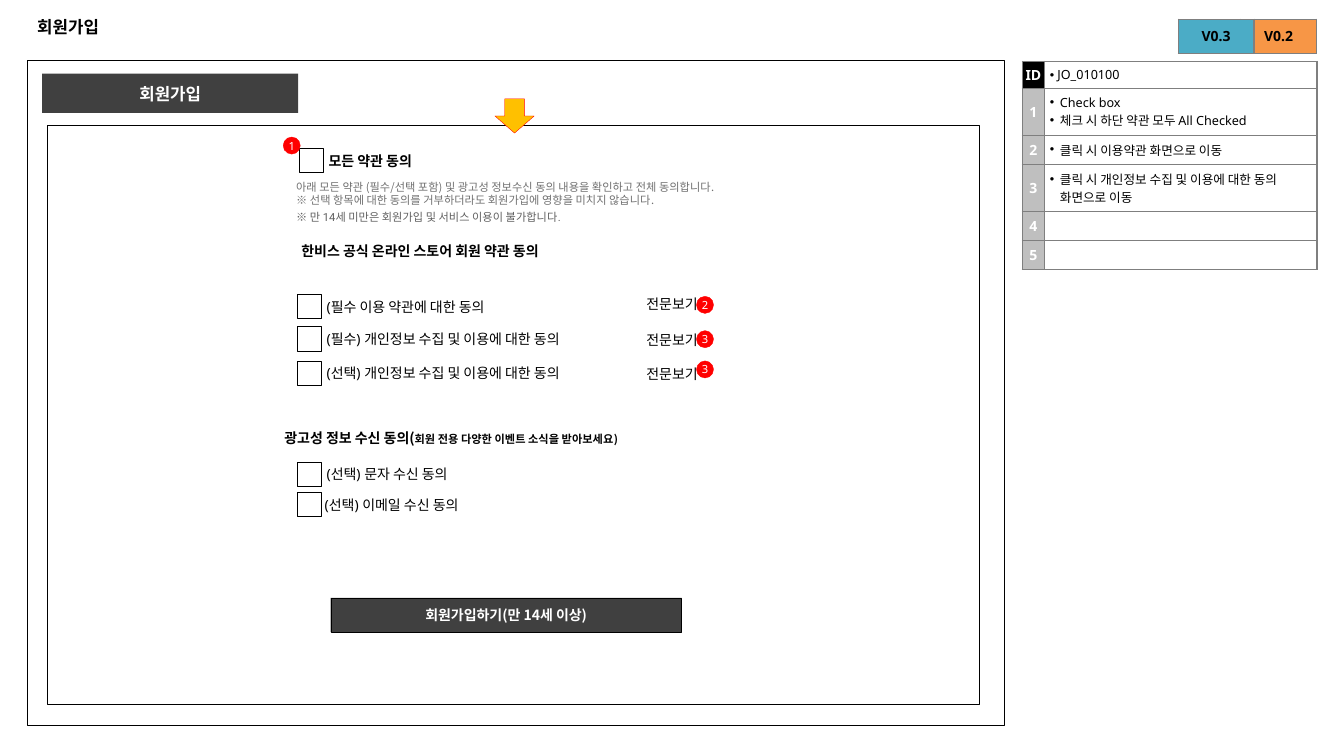
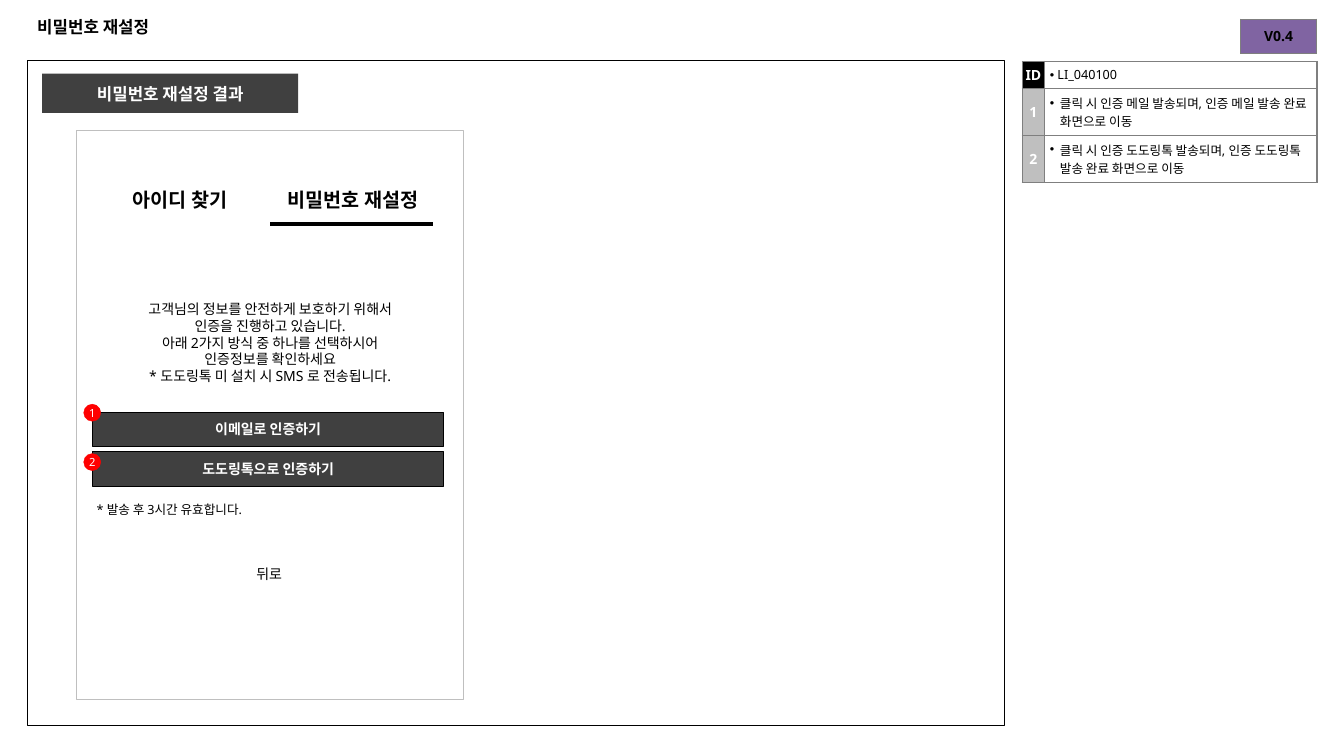
from collections import namedtuple
from dataclasses import dataclass
from lxml.etree import SubElement
from pptx import Presentation
from pptx.dml.color import RGBColor
from pptx.enum.shapes import MSO_CONNECTOR, MSO_SHAPE
from pptx.enum.text import MSO_ANCHOR, PP_ALIGN
from pptx.oxml.ns import qn
from pptx.util import Pt

Face = namedtuple("Face", "font size color bold", defaults=[False])
Spec = namedtuple("Spec", "code notes")

# Content: slide 1
JOIN = dict(
    title="회원가입", tag="회원가입",
    badges=[("V0.2", "orange", 886.3), ("V0.3", "teal", 841.7)],
    spec=Spec("JO_010100", [
        (2, ["Check box", "체크 시 하단 약관 모두 All Checked"]),
        (1, ["클릭 시 이용약관 화면으로 이동"]),
        (2, ["클릭 시 개인정보 수집 및 이용에 대한 동의 화면으로 이동"]),
        (1, []),
        (1, []),
    ]),
    marks=[("1", 202.3, 97.9), ("2", 497.5, 211.7),
           ("3", 497.5, 236.2), ("3", 497.5, 257.8)],
)
ALL = "모든 약관 동의"
CHECKS = [  # top, label left, label
    (210.2, 230.4, "(필수 이용 약관에 대한 동의"),
    (233.3, 230.4, "(필수) 개인정보 수집 및 이용에 대한 동의"),
    (257.8, 230.4, "(선택) 개인정보 수집 및 이용에 대한 동의"),
    (329.8, 230.4, "(선택) 문자 수신 동의"),
    (351.4, 229, "(선택) 이메일 수신 동의"),
]
LINK, LINKS = "전문보기", [208.1, 234, 258.5]
HINTS = [
    "아래 모든 약관 (필수/선택 포함) 및 광고성 정보수신 동의 내용을 확인하고 전체 동의합니다.",
    "※ 선택 항목에 대한 동의를 거부하더라도 회원가입에 영향을 미치지 않습니다.",
]
LIMIT = "※ 만 14세 미만은 회원가입 및 서비스 이용이 불가합니다."
TERMS = "한비스 공식 온라인 스토어 회원 약관 동의"
PROMO = "광고성 정보 수신 동의("
PERKS = "회원 전용 다양한 이벤트 소식을 받아보세요)"
SUBMIT = "회원가입하기(만 14세 이상)"

# Content: slide 2
RESET = dict(
    title="비밀번호 재설정", tag="비밀번호 재설정 결과",
    badges=[("V0.4", "purple", 886.3)],
    spec=Spec("LI_040100", [
        (2, ["클릭 시 인증 메일 발송되며, 인증 메일 발송 완료 화면으로 이동"]),
        (2, ["클릭 시 인증 도도링톡 발송되며, 인증 도도링톡 발송 완료 화면으로 이동"]),
    ]),
    marks=[("1", 59.8, 288.7), ("2", 59.8, 324)],
)
TABS = [("아이디 찾기", 67, 123.1), ("비밀번호 재설정", 189.4, 125.3)]
GUIDE = [
    "고객님의 정보를 안전하게 보호하기 위해서",
    "인증을 진행하고 있습니다.",
    "아래 2가지 방식 중 하나를 선택하시어",
    "인증정보를 확인하세요",
    "* 도도링톡 미 설치 시 SMS 로 전송됩니다.",
]
WAYS = [("이메일로 인증하기", 294.5), ("도도링톡으로 인증하기", 322.6)]
EXPIRY, BACK = "* 발송 후 3시간 유효합니다.", "뒤로"


# Theme
@dataclass(frozen=True)
class Theme:
    ink: str = "000000"
    white: str = "FFFFFF"
    dark: str = "404040"
    grid: str = "7F7F7F"
    pale: str = "BFBFBF"
    red: str = "FF0000"
    gold: str = "FFC000"
    teal: str = "4BACC6"
    orange: str = "F79646"
    purple: str = "8064A2"
    asian: str = "Noto Sans CJK KR"
    title: Face = Face("Arial", 12, "000000", True)
    tag: Face = Face("Arial", 12, "FFFFFF", True)
    body: Face = Face("Noto Sans", 10, "000000")
    strong: Face = Face("Noto Sans", 10, "000000", True)
    light: Face = Face("Noto Sans", 10, "FFFFFF", True)
    note: Face = Face("Noto Sans", 9, "000000")
    mark: Face = Face("Noto Sans", 8, "FFFFFF")
    head: Face = Face("Noto Sans CJK KR", 10, "000000", True)
    sub: Face = Face("Noto Sans CJK KR", 8, "000000", True)
    button: Face = Face("Noto Sans CJK KR", 10, "FFFFFF", True)
    tab: Face = Face("Noto Sans CJK KR", 14, "000000", True)
    hint: Face = Face("Noto Sans CJK KR", 8, "707070")
    limit: Face = Face("Roboto", 8, "606060")


T = Theme()
LEFT, MID = PP_ALIGN.LEFT, PP_ALIGN.CENTER
SNUG, WIDE, NONE = (2.9, 2.9), (7.2, 3.6), (0, 0)
CHECK, DOT = 17.3, 12.2
ID_ROW, ROWS = 19.4, {1: 20.9, 2: 33.4}


# Text and shape helpers
def rgb(code):
    return RGBColor.from_string(code)


def style(run, face):
    font = run.font
    font.name, font.size, font.bold = face.font, Pt(face.size), face.bold
    font.color.rgb = rgb(face.color)
    SubElement(run.font._element, qn("a:ea"), typeface=T.asian)


def write(frame, lines, face, align=LEFT):
    frame.text = "\n".join(lines)
    for para in frame.paragraphs:
        para.alignment = align
        for run in para.runs:
            style(run, face)


def fit(frame, inset, anchor):
    frame.word_wrap = True
    frame.margin_left = frame.margin_right = Pt(inset[0])
    frame.margin_top = frame.margin_bottom = Pt(inset[1])
    frame.vertical_anchor = anchor


def label(page, spot, lines, face, align=LEFT, inset=SNUG, anchor=MSO_ANCHOR.TOP):
    frame = page.shapes.add_textbox(*map(Pt, spot)).text_frame
    fit(frame, inset, anchor)
    write(frame, lines, face, align)
    return frame


def box(page, spot, fill=None, line=None, width=0.25, kind=MSO_SHAPE.RECTANGLE,
        text=None, face=None, inset=WIDE):
    shape = page.shapes.add_shape(kind, *map(Pt, spot))
    shape.shadow.inherit = False
    if fill:
        shape.fill.solid()
        shape.fill.fore_color.rgb = rgb(fill)
    else:
        shape.fill.background()
    if line:
        shape.line.color.rgb = rgb(line)
        shape.line.width = Pt(width)
    else:
        shape.line.fill.background()
    if text:
        fit(shape.text_frame, inset, MSO_ANCHOR.MIDDLE)
        write(shape.text_frame, [text], face, MID)


def button(page, left, top, text):
    box(page, (left, top, 250.6, 24.5), T.dark, T.ink, text=text, face=T.button)


# Table helpers
def grid(page, left, top, cols, rows):
    spot = (left, top, sum(cols), sum(rows))
    table = page.shapes.add_table(len(rows), len(cols), *map(Pt, spot)).table
    table.first_row = table.horz_banding = False
    for col, width in zip(table.columns, cols):
        col.width = Pt(width)
    for row, height in zip(table.rows, rows):
        row.height = Pt(height)
    return table


def cell(item, lines, face, fill=None, align=MID, inset=0, anchor=MSO_ANCHOR.MIDDLE):
    item.margin_left = item.margin_right = Pt(inset)
    item.margin_top = item.margin_bottom = Pt(inset)
    item.vertical_anchor = anchor
    props = item._tc.get_or_add_tcPr()
    for side in ("lnL", "lnR", "lnT", "lnB"):
        edge = SubElement(props, qn("a:" + side), w=str(Pt(1)))
        paint = SubElement(edge, qn("a:solidFill"))
        SubElement(paint, qn("a:srgbClr"), val=T.grid)
    if fill:
        item.fill.solid()
        item.fill.fore_color.rgb = rgb(fill)
    else:
        item.fill.background()
    write(item.text_frame, lines, face, align)
    if not lines:
        para = item.text_frame.paragraphs[0]._p
        SubElement(para, qn("a:endParaRPr"), sz=str(face.size * 100))


def notes(item, lines, indent):
    cell(item, lines, T.note, align=LEFT, inset=3.6, anchor=MSO_ANCHOR.TOP)
    if lines:
        for para in item.text_frame.paragraphs:
            props = para._p.get_or_add_pPr()
            props.set("marL", str(Pt(indent)))
            props.set("indent", str(Pt(-indent)))
            SubElement(props, qn("a:buFont"), typeface="Arial")
            SubElement(props, qn("a:buChar"), char="•")


# Parts that the slides share
def start(deck, data):
    page = deck.slides.add_slide(deck.slide_layouts[6])
    box(page, (19.5, 43.2, 697.7, 475.2), line=T.ink, width=0.75)
    label(page, (19.5, 5, 921, 28), [data["title"]], T.title,
          inset=WIDE, anchor=MSO_ANCHOR.MIDDLE)
    box(page, (30.2, 52.6, 182.9, 28.1), T.dark, text=data["tag"], face=T.tag)
    for text, tone, left in data["badges"]:
        badge = grid(page, left, 13.7, [54], [24.5])
        cell(badge.cell(0, 0), [text], T.strong, getattr(T, tone))
    spec = data["spec"]
    rows = [ID_ROW] + [ROWS[count] for count, _ in spec.notes]
    table = grid(page, 730.1, 43.9, [16.2, 194.4], rows)
    cell(table.cell(0, 0), ["ID"], T.light, T.ink)
    notes(table.cell(0, 1), [" " + spec.code], 0)
    for num, (_, lines) in enumerate(spec.notes, 1):
        cell(table.cell(num, 0), [str(num)], T.light, T.pale)
        notes(table.cell(num, 1), lines, 7.2)
    return page


def marks(page, data):
    for text, left, top in data["marks"]:
        box(page, (left, top, DOT, DOT), T.red, T.red, kind=MSO_SHAPE.OVAL,
            text=text, face=T.mark, inset=NONE)


def join(deck):
    page = start(deck, JOIN)
    box(page, (33.8, 89.3, 666, 414), line=T.ink)
    box(page, (353.5, 70.6, 28.1, 24.5), T.gold, T.red, kind=MSO_SHAPE.DOWN_ARROW)
    # Consent to everything
    box(page, (213.8, 105.8, CHECK, CHECK), line=T.ink)
    label(page, (231.8, 105.8, 226.8, 18.7), [ALL], T.strong)
    label(page, (204.5, 125.3, 480.2, 26.6), HINTS, T.hint, inset=WIDE)
    label(page, (204.5, 146.9, 300, 17.3), [LIMIT], T.limit, inset=WIDE)
    # Single consents
    label(page, (212.4, 170.6, 288.7, 20.2), [TERMS], T.head)
    promo = label(page, (200.2, 303.8, 288.7, 20.2), [PROMO], T.head)
    run = promo.paragraphs[0].add_run()
    run.text = PERKS
    style(run, T.sub)
    for top, left, text in CHECKS:
        box(page, (212.4, top, CHECK, CHECK), line=T.ink)
        label(page, (left, top, 226.8, 23), [text], T.body)
    for top in LINKS:
        label(page, (452.2, top, 49, 15.1), [LINK], T.body, PP_ALIGN.RIGHT)
    button(page, 236.2, 427, SUBMIT)
    marks(page, JOIN)


def reset(deck):
    page = start(deck, RESET)
    box(page, (54.7, 92.9, 276.5, 406.8), T.white, T.pale)
    # Tabs
    for text, left, width in TABS:
        box(page, (left, 130.3, width, 24.5), T.white, text=text, face=T.tab)
    rule = page.shapes.add_connector(
        MSO_CONNECTOR.STRAIGHT, Pt(193), Pt(159.8), Pt(309.6), Pt(159.8))
    rule.line.color.rgb, rule.line.width = rgb(T.ink), Pt(3)
    SubElement(rule._element.spPr, qn("a:effectLst"))
    # Guide and choices
    label(page, (54.7, 211.7, 276.5, 66), GUIDE, T.body, MID)
    for text, top in WAYS:
        button(page, 66.2, top, text)
    label(page, (66.2, 355.7, 167.8, 20.2), [EXPIRY], T.note)
    label(page, (67, 401, 250.6, 22.3), [BACK], T.body, MID)
    marks(page, RESET)


deck = Presentation()
deck.slide_width, deck.slide_height = Pt(960), Pt(540)
join(deck)
reset(deck)
deck.save("out.pptx")
